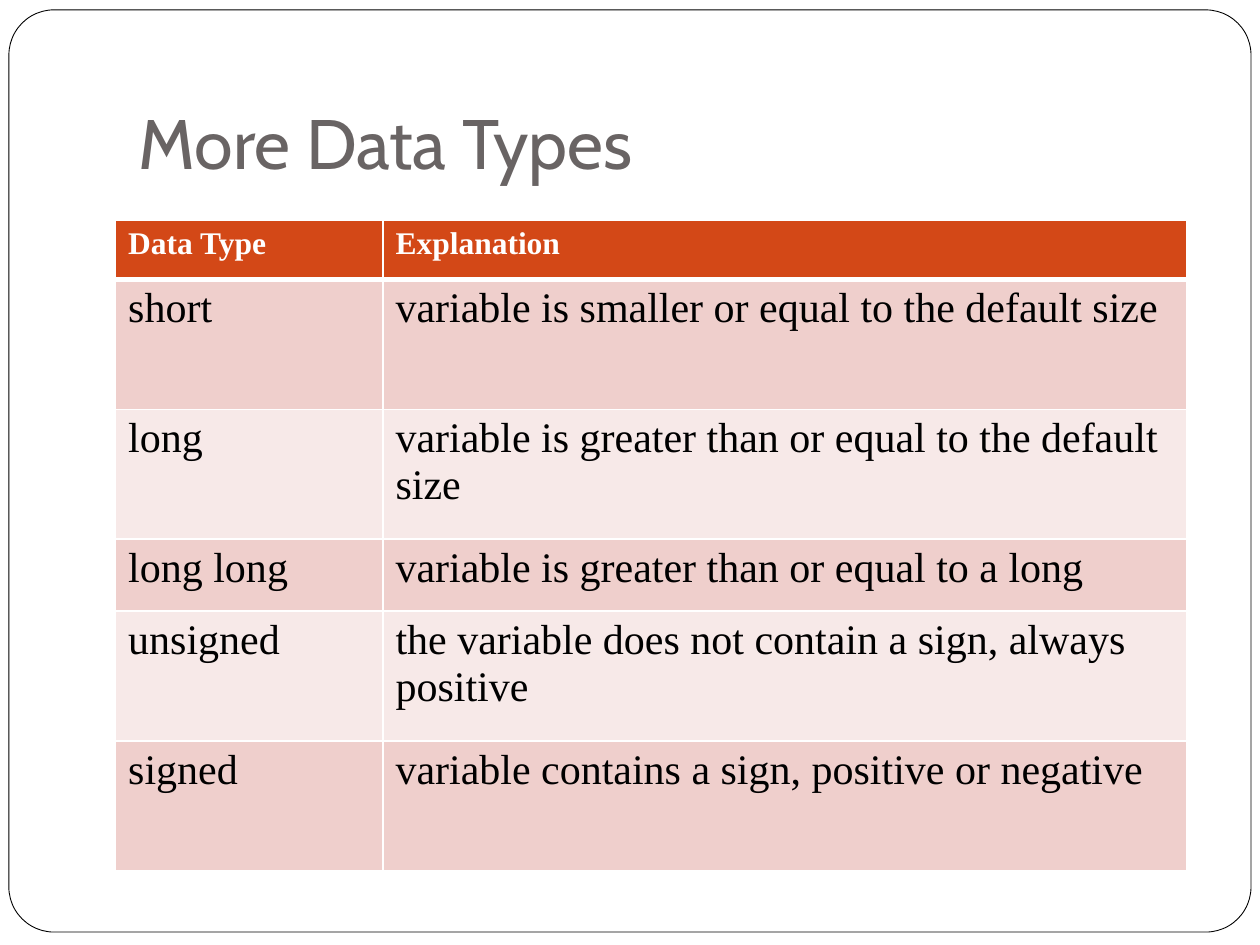
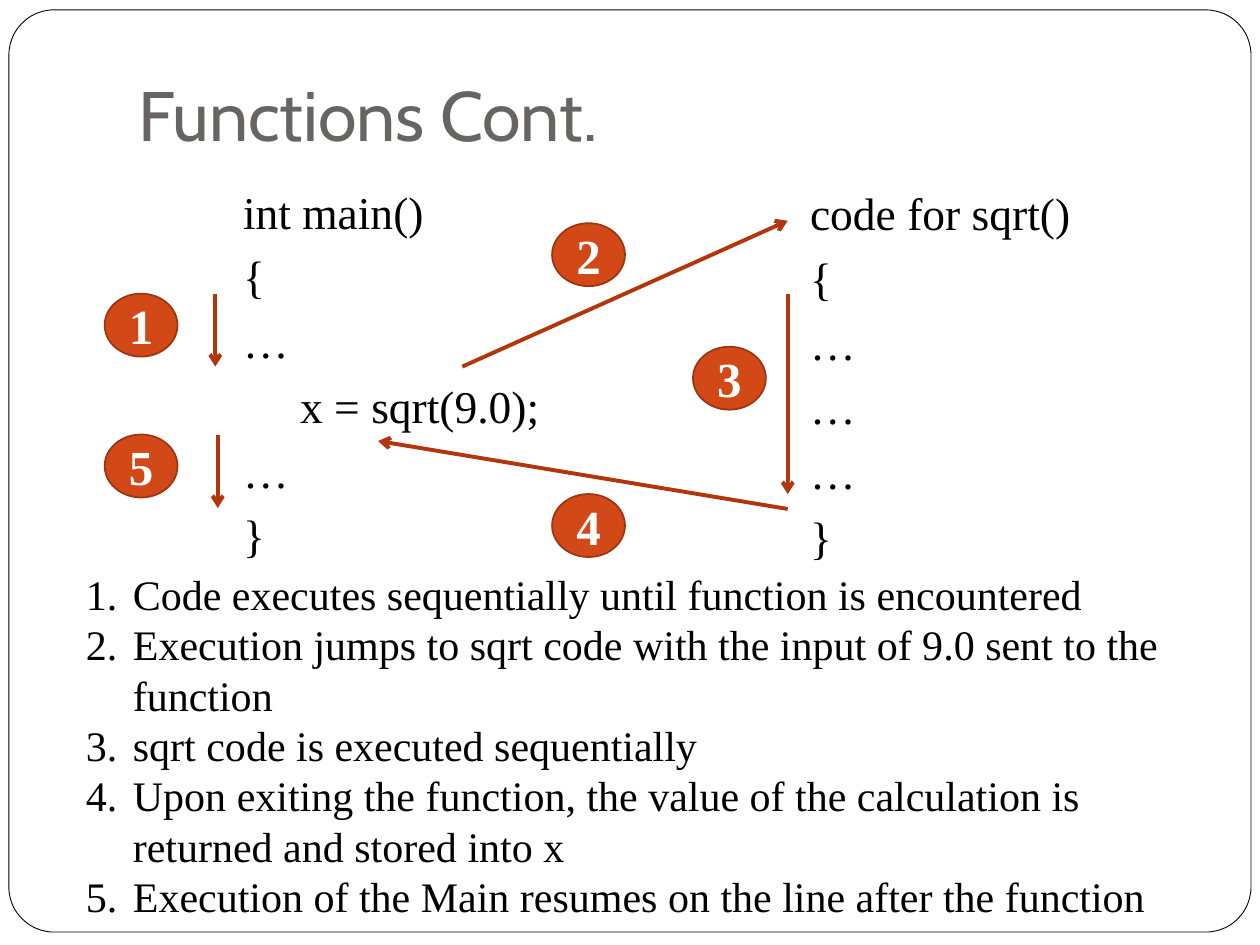
"""Build two lecture slides on C data types and function calls."""
from pptx import Presentation, util as u
from pptx.dml.color import RGBColor
from pptx.enum import shapes, text
from pptx.oxml import ns, xmlchemy

Cm, Pt = u.Cm, u.Pt


def colour(value):
    return RGBColor.from_string(value)


class Deck:
    TITLE_FONT, BODY_FONT = "Cabin", "Times New Roman"
    BLACK, WHITE, GREY = "000000", "FFFFFF", "696464"
    ACCENT, ARROW, BADGE_EDGE = "D34817", "B1360B", "9C3511"
    BANDS = ("EFCFCC", "F7E9E8")

    def __init__(self):
        self.presentation = Presentation()
        self.presentation.slide_width = Cm(25.4)
        self.presentation.slide_height = Cm(19.05)
        self.slide = None

    def new_slide(self, title, title_height):
        layout = self.presentation.slide_layouts[5]
        self.slide = self.presentation.slides.add_slide(layout)
        frame = self.shape(shapes.MSO_SHAPE.ROUNDED_RECTANGLE, 0.18, 0.2, 25.04, 18.59,
                           self.WHITE, self.BLACK, 0.5)
        frame.adjustments[0] = 0.049
        self.slide.shapes.element.insert(2, frame.element)
        placeholder = self.slide.shapes.title
        placeholder.left, placeholder.top = Cm(2.54), Cm(0.76)
        placeholder.width, placeholder.height = Cm(21.59), Cm(title_height)
        text_frame = placeholder.text_frame
        text_frame.auto_size = text.MSO_AUTO_SIZE.NONE
        text_frame.vertical_anchor = text.MSO_ANCHOR.BOTTOM
        text_frame.margin_bottom = Cm(0.25)
        paragraph = text_frame.paragraphs[0]
        paragraph.alignment = text.PP_ALIGN.LEFT
        self.run(paragraph, title, 40, self.GREY, font=self.TITLE_FONT)

    def run(self, paragraph, content, size, fill=BLACK, bold=False, font=BODY_FONT):
        run = paragraph.add_run()
        run.text = content
        run.font.name, run.font.size, run.font.bold = font, Pt(size), bold
        run.font.color.rgb = colour(fill)

    def shape(self, kind, left, top, width, height, fill, edge, edge_width):
        shape = self.slide.shapes.add_shape(kind, Cm(left), Cm(top), Cm(width), Cm(height))
        shape.shadow.inherit = False
        shape.fill.solid()
        shape.fill.fore_color.rgb = colour(fill)
        shape.line.color.rgb = colour(edge)
        shape.line.width = Pt(edge_width)
        return shape

    def badge(self, label, left, top):
        shape = self.shape(shapes.MSO_SHAPE.OVAL, left, top, 1.47, 1.27,
                           self.ACCENT, self.BADGE_EDGE, 1)
        text_frame = shape.text_frame
        text_frame.word_wrap = False
        text_frame.vertical_anchor = text.MSO_ANCHOR.MIDDLE
        paragraph = text_frame.paragraphs[0]
        paragraph.alignment = text.PP_ALIGN.CENTER
        self.run(paragraph, label, 28, self.WHITE, bold=True)

    def arrow(self, start, end):
        connector = self.slide.shapes.add_connector(
            shapes.MSO_CONNECTOR.STRAIGHT, *map(Cm, start + end))
        connector.line.color.rgb = colour(self.ARROW)
        connector.line.width = Pt(2.25)
        properties = connector.element.spPr
        head = xmlchemy.OxmlElement("a:tailEnd")
        head.set("type", "arrow")
        properties.find(ns.qn("a:ln")).append(head)
        properties.append(xmlchemy.OxmlElement("a:effectLst"))

    def paragraphs(self, left, top, width, height, lines, size, space_before=0):
        box = self.slide.shapes.add_textbox(Cm(left), Cm(top), Cm(width), Cm(height))
        text_frame = box.text_frame
        text_frame.word_wrap = True
        for index, line in enumerate(lines):
            paragraph = text_frame.add_paragraph() if index else text_frame.paragraphs[0]
            paragraph.space_before = Pt(space_before)
            self.run(paragraph, line, size)
        return text_frame.paragraphs

    def indent(self, paragraph, margin, first_line=0):
        properties = paragraph._p.get_or_add_pPr()
        properties.set("marL", str(Cm(margin)))
        properties.set("indent", str(Cm(first_line)))
        return properties

    def code(self, left, top, lines, indented=()):
        paragraphs = self.paragraphs(left, top, 7.42, 8.46, lines, 26, 5.8)
        for index in indented:
            self.indent(paragraphs[index], 1.15)

    def numbered(self, left, top, width, height, lines):
        for paragraph in self.paragraphs(left, top, width, height, lines, 24):
            properties = self.indent(paragraph, 0.95, -0.95)
            number = xmlchemy.OxmlElement("a:buAutoNum")
            number.set("type", "arabicPeriod")
            properties.append(number)

    def border(self, cell, side, width):
        line = xmlchemy.OxmlElement("a:ln" + side)
        line.set("w", str(Pt(width)))
        fill = xmlchemy.OxmlElement("a:solidFill")
        shade = xmlchemy.OxmlElement("a:srgbClr")
        shade.set("val", self.WHITE)
        fill.append(shade)
        line.append(fill)
        cell._tc.get_or_add_tcPr().append(line)

    def table(self, left, top, widths, heights, rows):
        table = self.slide.shapes.add_table(
            len(rows), len(widths), Cm(left), Cm(top), Cm(sum(widths)), Cm(sum(heights))).table
        for column, width in zip(table.columns, widths):
            column.width = Cm(width)
        for index, (row, height, contents) in enumerate(zip(table.rows, heights, rows)):
            row.height = Cm(height)
            header = index == 0
            for cell, content in zip(row.cells, contents):
                for side in "LRTB":
                    thick = (index, side) in ((0, "B"), (1, "T"))
                    self.border(cell, side, 3 if thick else 1)
                cell.fill.solid()
                cell.fill.fore_color.rgb = colour(
                    self.ACCENT if header else self.BANDS[(index - 1) % 2])
                self.run(cell.text_frame.paragraphs[0], content, 18 if header else 24,
                         self.WHITE if header else self.BLACK, bold=header)


deck = Deck()

deck.new_slide("More Data Types", 3.18)
deck.table(2.33, 4.44, (5.39, 16.21), (1.19, 2.62, 2.62, 1.45, 2.62, 2.62), (
    ("Data Type", "Explanation"),
    ("short", "variable is smaller or equal to the default size"),
    ("long", "variable is greater than or equal to the default size"),
    ("long long", "variable is greater than or equal to a long"),
    ("unsigned", "the variable does not contain a sign, always positive"),
    ("signed", "variable contains a sign, positive or negative"),
))

deck.new_slide("Functions Cont.", 2.62)
deck.code(4.65, 3.58, ("int main()", "{", "…", "x = sqrt(9.0);", "…", "}"), indented=(3,))
deck.code(16.08, 3.61, ("code for sqrt()", "{", "…", "…", "…", "}"))
for start, end in (
    ((9.32, 7.39), (15.88, 4.45)),
    ((15.88, 5.92), (15.88, 9.96)),
    ((15.88, 10.26), (7.62, 8.89)),
    ((4.34, 5.92), (4.34, 7.39)),
    ((4.39, 8.76), (4.39, 10.24)),
):
    deck.arrow(start, end)
badge_places = ((2.11, 5.92), (11.13, 4.5), (13.97, 6.99), (11.13, 9.96), (2.11, 8.76))
for step, (left, top) in enumerate(badge_places, 1):
    deck.badge(str(step), left, top)
deck.numbered(1.48, 11.33, 22.66, 7.44, (
    "Code executes sequentially until function is encountered",
    "Execution jumps to sqrt code with the input of 9.0 sent to the function",
    "sqrt code is executed sequentially",
    "Upon exiting the function, the value of the calculation is returned and stored into x",
    "Execution of the Main resumes on the line after the function",
))

deck.presentation.save("out.pptx")
